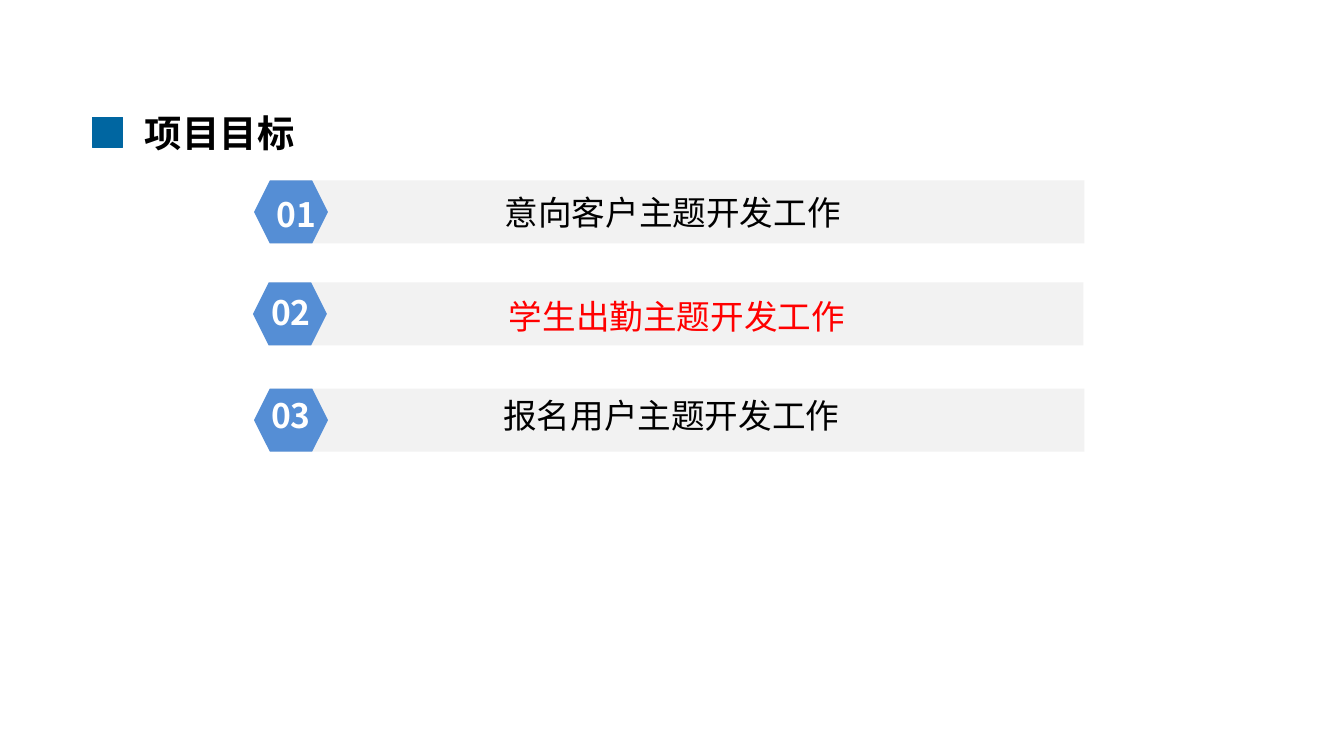
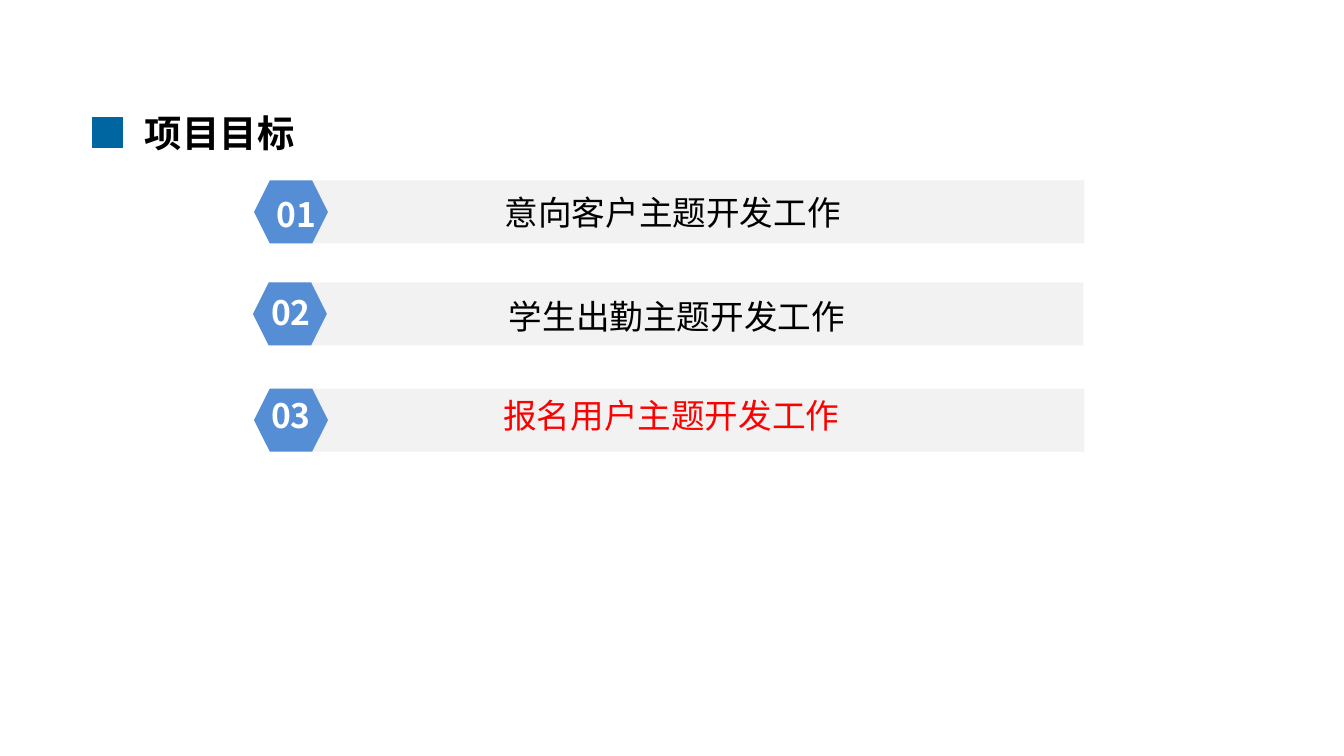
from dataclasses import dataclass
from itertools import product

from lxml.etree import SubElement
from pptx import Presentation
from pptx.dml.color import RGBColor
from pptx.enum.shapes import MSO_SHAPE
from pptx.enum.text import PP_ALIGN
from pptx.oxml.ns import qn
from pptx.util import Pt


@dataclass(frozen=True)
class Theme:
    font: str = "Noto Sans CJK SC"
    title_size: float = 20
    body_size: float = 18
    text: RGBColor = RGBColor(0x00, 0x00, 0x00)
    highlight: RGBColor = RGBColor(0xFF, 0x00, 0x00)
    number: RGBColor = RGBColor(0xFF, 0xFF, 0xFF)
    marker: RGBColor = RGBColor(0x00, 0x66, 0xA1)
    bar: RGBColor = RGBColor(0xF2, 0xF2, 0xF2)
    badge: RGBColor = RGBColor(0x55, 0x8E, 0xD5)


@dataclass(frozen=True)
class Goal:
    """One row: badge corner, then number and label corners, in points."""
    text: str
    badge: tuple
    number: tuple
    label: tuple
    label_height: float = 29


TITLE = "项目目标"
GOALS = [
    Goal("意向客户主题开发工作", (136.1, 96.7), (139, 100.1), (201.6, 99.4)),
    Goal("学生出勤主题开发工作", (135.5, 151.3), (136.1, 152.6), (203.8, 154.8), 51),
    Goal("报名用户主题开发工作", (136.1, 208.2), (136.1, 208.2), (200.9, 208.2)),
]
BADGE_WIDTH, ROW_HEIGHT = 39.6, 33.8
BAR_INDENT, BAR_WIDTH = 8.6, 436.3
NUMBER_HEIGHT, LABEL_WIDTH = 29, 317.5


class GoalDeck:
    def __init__(self, theme):
        self.theme = theme
        self.deck = Presentation()
        self.deck.slide_width, self.deck.slide_height = Pt(720), Pt(405)
        self.page = None

    def add_page(self):
        self.page = self.deck.slides.add_slide(self.deck.slide_layouts[6])

    def shape(self, kind, left, top, width, height, fill, line=None, parent=None):
        shapes = (parent or self.page).shapes
        shape = shapes.add_shape(kind, Pt(left), Pt(top), Pt(width), Pt(height))
        shape.shadow.inherit = False
        shape.fill.solid()
        shape.fill.fore_color.rgb = fill
        if line is None:
            shape.line.fill.background()
        else:
            shape.line.color.rgb = line
            shape.line.width = Pt(0.5)

    def text(self, content, left, top, width, height, color, size,
             bold=False, align=PP_ALIGN.CENTER):
        box = self.page.shapes.add_textbox(Pt(left), Pt(top), Pt(width), Pt(height))
        box.text_frame.word_wrap = True
        box.text_frame.text = content
        para = box.text_frame.paragraphs[0]
        para.alignment = align
        span = para.runs[0]
        span.font.name = self.theme.font
        span.font.size = Pt(size)
        span.font.bold = bold
        span.font.color.rgb = color
        # Chinese glyphs take the East Asian typeface
        SubElement(span.font._element, qn("a:ea"), typeface=self.theme.font)

    def title(self, content):
        theme = self.theme
        self.text(content, 70.6, 55.4, 471, 31.7, theme.text, theme.title_size,
                  bold=True, align=PP_ALIGN.LEFT)
        marker = self.page.shapes.add_group_shape()
        side, step = 8, 8.2
        for row, column in product(range(2), repeat=2):
            self.shape(MSO_SHAPE.RECTANGLE, 49.6 + column * step, 62.8 + row * step,
                       side, side, theme.marker, theme.marker, marker)

    def goal(self, number, goal, highlighted):
        theme = self.theme
        left, top = goal.badge
        self.shape(MSO_SHAPE.RECTANGLE, left + BAR_INDENT, top,
                   BAR_WIDTH, ROW_HEIGHT, theme.bar)
        self.shape(MSO_SHAPE.HEXAGON, left, top, BADGE_WIDTH, ROW_HEIGHT, theme.badge)
        self.text(f"{number:02}", *goal.number, BADGE_WIDTH, NUMBER_HEIGHT,
                  theme.number, theme.body_size, bold=True)
        color = theme.highlight if highlighted else theme.text
        self.text(goal.text, *goal.label, LABEL_WIDTH, goal.label_height,
                  color, theme.body_size)


def main():
    builder = GoalDeck(Theme())
    # One page per current goal, shown in the highlight colour
    for current in (2, 3):
        builder.add_page()
        builder.title(TITLE)
        for number, goal in enumerate(GOALS, start=1):
            builder.goal(number, goal, number == current)
    builder.deck.save("out.pptx")


if __name__ == "__main__":
    main()
